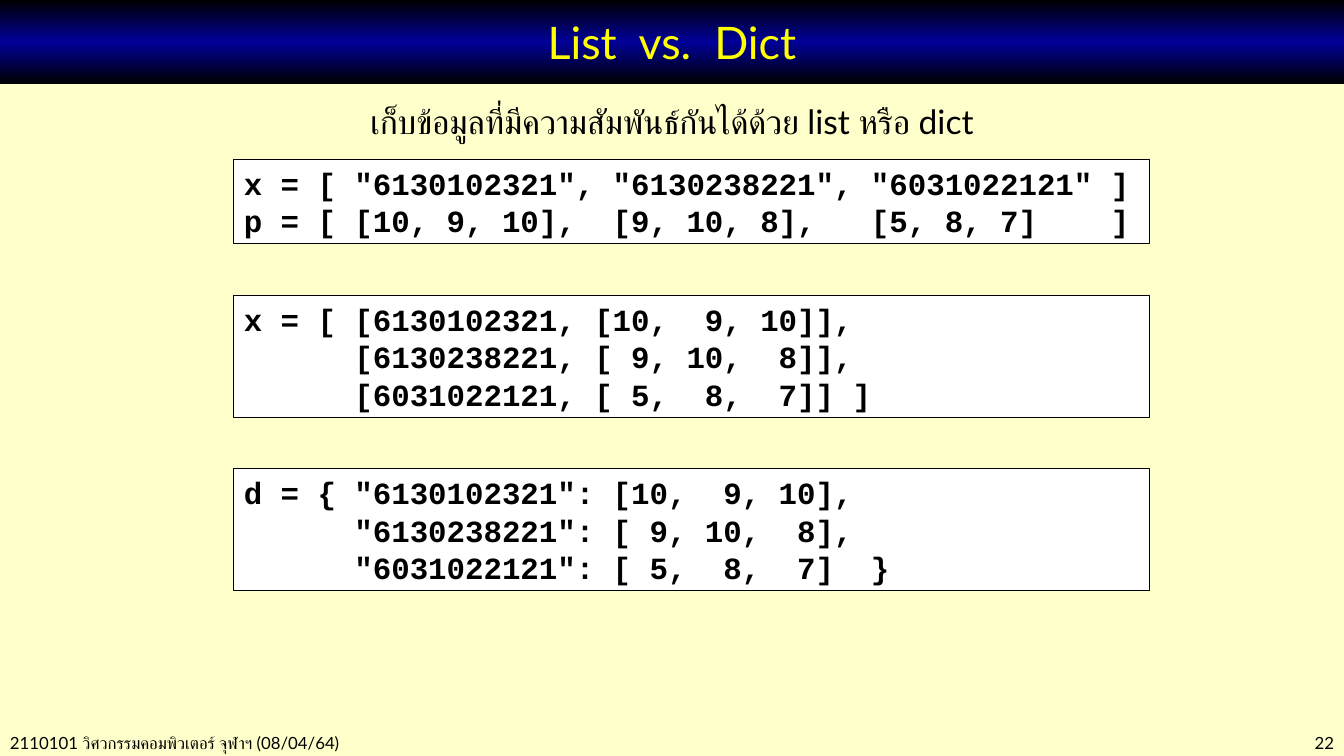
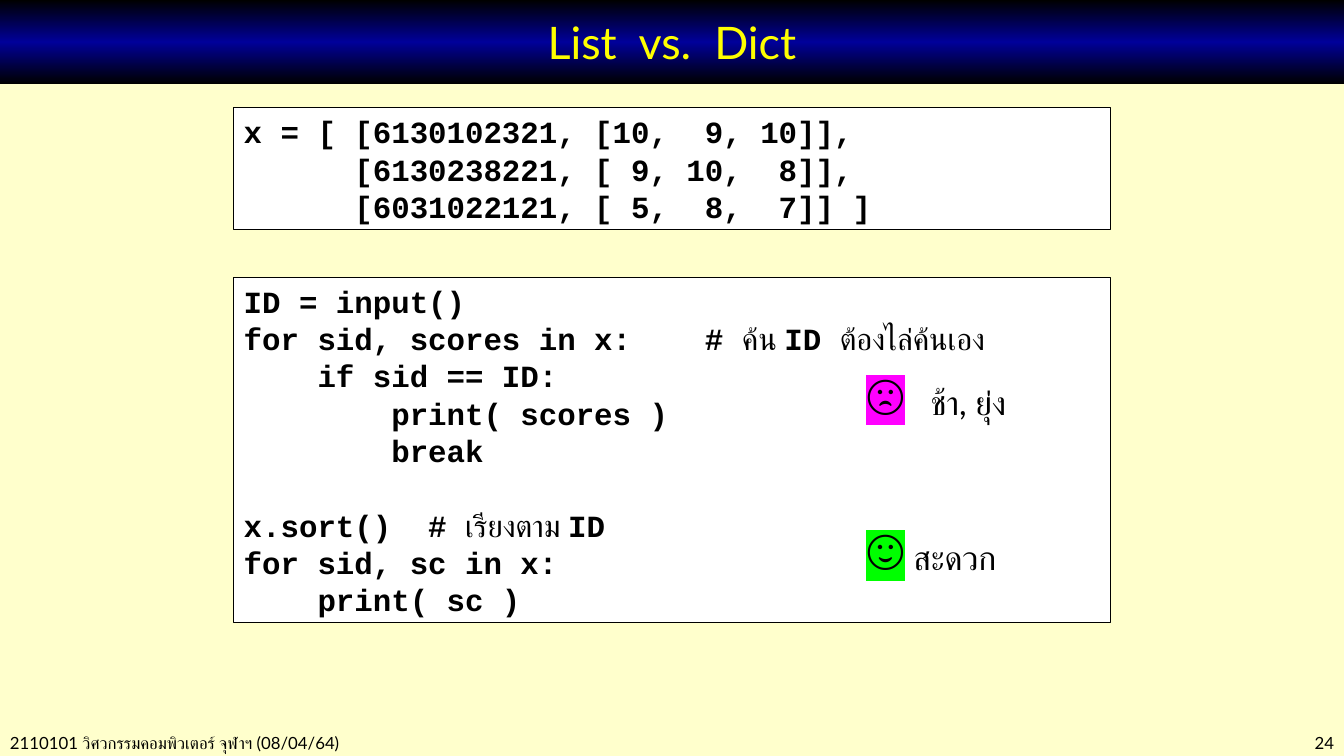
from dataclasses import dataclass
from copy import deepcopy

from lxml import etree
from pptx import Presentation
from pptx import util as u
from pptx.dml.color import RGBColor
from pptx.enum import shapes, text
from pptx.oxml import ns


@dataclass(frozen=True)
class Theme:
    paper: str = "FFFFCC"
    panel: str = "FFFFFF"
    ink: str = "000000"
    band: str = "000099"
    heading: str = "FFFF00"
    bad: str = "FF00FF"
    good: str = "00FF00"
    sans: str = "Lato"
    mono: str = "Courier New"
    title_size: int = 32
    face_size: int = 36
    body_size: int = 24
    code_size: int = 22
    footer_size: int = 12


theme = Theme()
rgb = RGBColor.from_string
align = text.PP_ALIGN
line_pitch = u.Inches(0.37)

deck = Presentation()
deck.slide_width, deck.slide_height = u.Inches(13.33), u.Inches(7.5)
master_fill = deck.slide_master.background.fill
master_fill.solid()
master_fill.fore_color.rgb = rgb(theme.paper)


def add_box(page, left, top, width, height, kind=None):
    """Add a text box, or a preset shape if kind is given; lengths are percent of the slide."""
    across, down = deck.slide_width / 100, deck.slide_height / 100
    place = [int(v) for v in (left * across, top * down, width * across, height * down)]
    if kind is None:
        box = page.shapes.add_textbox(*place)
    else:
        box = page.shapes.add_shape(kind, *place)
        box.shadow.inherit = False
    box.text_frame.word_wrap = True
    box.text_frame.vertical_anchor = text.MSO_ANCHOR.TOP
    return box


def add_span(para, words, size, face=theme.sans, color=theme.ink, bold=False, highlight=None):
    span = para.add_run()
    span.text = words
    font = span.font
    font.size, font.bold = u.Pt(size), bold
    font.color.rgb = rgb(color)
    if highlight:
        mark = etree.SubElement(font.fill._xPr, ns.qn("a:highlight"))
        etree.SubElement(mark, ns.qn("a:srgbClr"), val=highlight)
    font.name = face


# In code lines, "|" switches between bold and regular.
nested_list = [
    "x = [ [6130102321, [10,  9, 10]],",
    "      [6130238221, [ 9, 10,  8]],",
    "      [6031022121, [ 5,  8,  7]] ]",
]
parallel_lists = [
    'x = [ "6130102321", "6130238221", "6031022121" ]',
    "p = [ [10, 9, 10],  [9, 10, 8],   [5, 8, 7]    ]",
]
dictionary = [
    'd = { "6130102321": [10,  9, 10],',
    '      "6130238221": [ 9, 10,  8],',
    '      "6031022121": [ 5,  8,  7]  }',
]
search_and_sort = [
    "ID = input()",
    "for sid, scores in x:    # |ค้น |ID |ต้องไล่ค้นเอง",
    "    if sid == ID:",
    "        print( scores )",
    "        break",
    "",
    "x.sort()  # |เรียงตาม |ID",
    "for sid, sc in x:",
    "    print( sc )",
]

# Panels: (top, lines). Remarks: (top, face, highlight, label, label indent in inches).
slides = [
    dict(
        number="22",
        lead="เก็บข้อมูลที่มีความสัมพันธ์กันได้ด้วย list หรือ dict",
        panel_width=68.1,
        panels=[(21.07, parallel_lists), (39.07, nested_list), (62, dictionary)],
        remarks=[],
    ),
    dict(
        number="24",
        lead=None,
        panel_width=65.25,
        panels=[(14.27, nested_list), (36.67, search_and_sort)],
        remarks=[
            (47.6, "☹", theme.bad, "ช้า, ยุ่ง", 0.64),
            (68.13, "☺", theme.good, "สะดวก", 0.47),
        ],
    ),
]

for content in slides:
    page = deck.slides.add_slide(deck.slide_layouts[6])

    footers = [
        (0, 39, align.LEFT, "2110101 วิศวกรรมคอมพิวเตอร์ จุฬาฯ (08/04/64)"),
        (86.2, 13.8, align.RIGHT, content["number"]),
    ]
    for left, width, side, words in footers:
        para = add_box(page, left, 96.27, width, 4).text_frame.paragraphs[0]
        para.alignment = side
        add_span(para, words, theme.footer_size)

    band = add_box(page, 0, 0, 100, 11.1, shapes.MSO_SHAPE.RECTANGLE)
    band.line.fill.background()
    band.fill.gradient()
    band.fill.gradient_angle = 90
    stops = band.fill.gradient_stops
    first_stop = stops[0]._gs
    first_stop.addnext(deepcopy(first_stop))
    for stop, position, color in zip(
        band.fill.gradient_stops, (0, 0.5, 1), (theme.ink, theme.band, theme.ink)
    ):
        stop.position = position
        stop.color.rgb = rgb(color)
    band.text_frame.vertical_anchor = text.MSO_ANCHOR.MIDDLE
    para = band.text_frame.paragraphs[0]
    para.alignment = align.CENTER
    add_span(para, "List  vs.  Dict", theme.title_size, color=theme.heading)

    for top, lines in content["panels"]:
        height = (u.Inches(0.1) + line_pitch * len(lines)) / deck.slide_height * 100
        panel = add_box(
            page, 17.4, top, content["panel_width"], height, shapes.MSO_SHAPE.RECTANGLE
        )
        panel.fill.solid()
        panel.fill.fore_color.rgb = rgb(theme.panel)
        panel.line.color.rgb = rgb(theme.ink)
        panel.line.width = u.Pt(0.75)
        frame = panel.text_frame
        for row, line in enumerate(lines):
            if not line:
                continue
            para = frame.add_paragraph() if row else frame.paragraphs[0]
            para.alignment = align.LEFT
            para.line_spacing = line_pitch
            if row and not lines[row - 1]:
                para.space_before = line_pitch
            for index, words in enumerate(line.split("|")):
                add_span(para, words, theme.code_size, theme.mono, bold=index % 2 == 0)

    if content["lead"]:
        lead = add_box(page, 24, 12.67, 52, 6.8)
        lead.text_frame.word_wrap = False
        para = lead.text_frame.paragraphs[0]
        para.alignment = align.CENTER
        add_span(para, content["lead"], theme.body_size)

    for top, face, highlight, label, indent in content["remarks"]:
        para = add_box(page, 63.7, top, 15.7, 9.47).text_frame.paragraphs[0]
        tabs = etree.SubElement(para._p.get_or_add_pPr(), ns.qn("a:tabLst"))
        etree.SubElement(tabs, ns.qn("a:tab"), pos=str(u.Inches(indent)), algn="l")
        add_span(para, face, theme.face_size, highlight=highlight)
        add_span(para, "\t" + label, theme.body_size)

deck.save("out.pptx")
